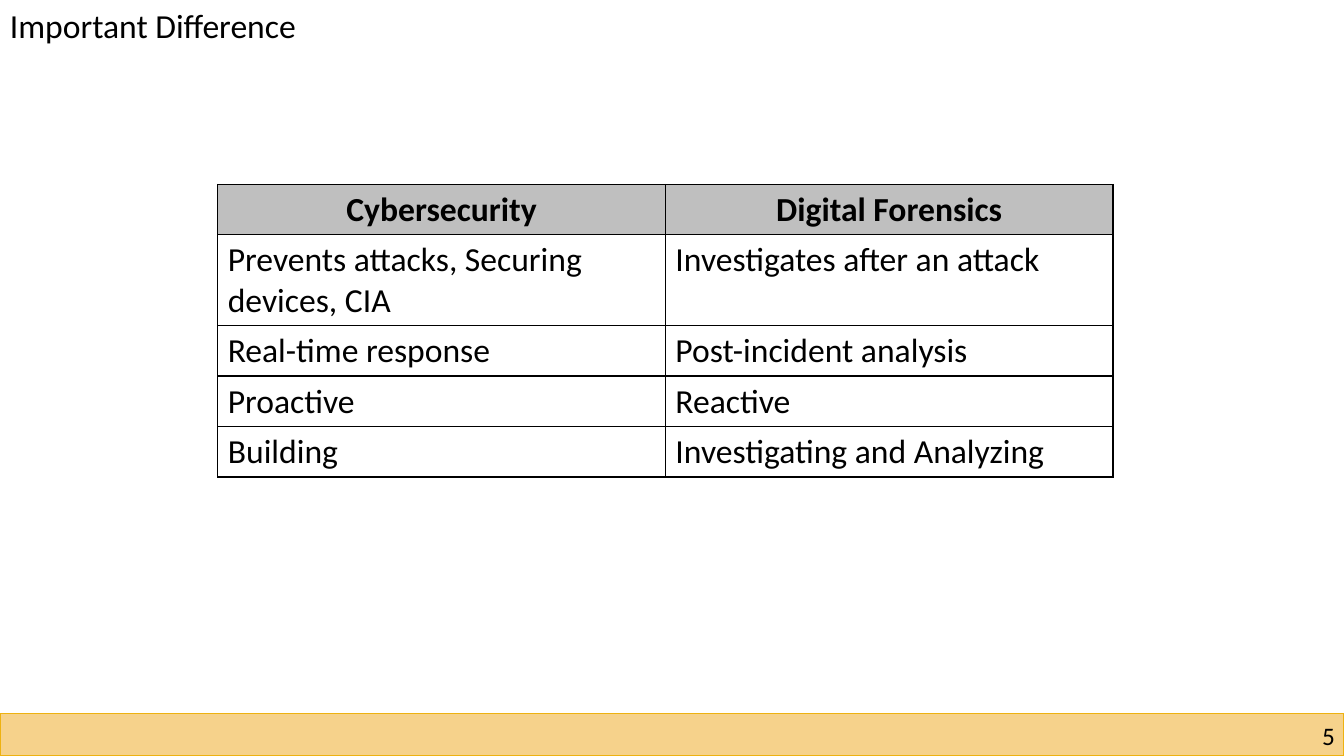
from pptx import Presentation
from pptx.util import Inches, Pt
from pptx.dml.color import RGBColor
from pptx.enum.shapes import MSO_SHAPE
from pptx.enum.text import PP_ALIGN, MSO_AUTO_SIZE
from pptx.oxml import parse_xml
from pptx.oxml.ns import nsdecls

TITLE = "Important Difference"
PAGE = "5"
ROWS = [
    ("Cybersecurity", "Digital Forensics"),
    ("Prevents attacks, Securing devices, CIA", "Investigates after an attack"),
    ("Real-time response", "Post-incident analysis"),
    ("Proactive", "Reactive"),
    ("Building", "Investigating and Analyzing"),
]
HEIGHTS = [0.5, 0.9, 0.5, 0.5, 0.5]
COLORS = {"ink": "000000", "head": "BFBFBF", "cell": "FFFFFF",
          "bar": "F6D28B", "edge": "EEB211"}
FONT = "Calibri"
WIDTH, HEIGHT = 13.33, 7.5
BAR_TOP = 7.08
COL = 4.44


def color(name):
    return RGBColor.from_string(COLORS[name])


def write(frame, text, size, align=PP_ALIGN.LEFT, bold=False):
    frame.text = text
    par = frame.paragraphs[0]
    par.alignment = align
    font = par.runs[0].font
    font.name, font.size, font.bold = FONT, Pt(size), bold
    font.color.rgb = color("ink")


def border(cell):
    props = cell._tc.get_or_add_tcPr()
    for spot, side in enumerate(("lnL", "lnR", "lnT", "lnB")):
        props.insert(spot, parse_xml(
            f'<a:{side} {nsdecls("a")} w="12700"><a:solidFill>'
            f'<a:srgbClr val="{COLORS["ink"]}"/></a:solidFill></a:{side}>'))


def add_bar(slide):
    bar = slide.shapes.add_shape(
        MSO_SHAPE.RECTANGLE, 0, Inches(BAR_TOP),
        Inches(WIDTH), Inches(HEIGHT - BAR_TOP))
    bar.shadow.inherit = False
    bar.fill.solid()
    bar.fill.fore_color.rgb = color("bar")
    bar.line.color.rgb = color("edge")
    bar.line.width = Pt(1)


def add_labels(slide):
    page = slide.shapes.add_textbox(
        Inches(10.17), Inches(7.15), Inches(3.07), Inches(0.3)).text_frame
    page.margin_left = page.margin_right = 0
    page.margin_top = page.margin_bottom = 0
    page.word_wrap = True
    write(page, PAGE, 18, PP_ALIGN.RIGHT)
    title = slide.shapes.add_textbox(0, 0, Inches(3.25), Inches(0.5)).text_frame
    title.word_wrap = False
    title.auto_size = MSO_AUTO_SIZE.SHAPE_TO_FIT_TEXT
    write(title, TITLE, 24)


def add_grid(slide):
    count = len(ROWS[0])
    table = slide.shapes.add_table(
        len(ROWS), count, Inches(2.16), Inches(1.83),
        Inches(COL * count), Inches(sum(HEIGHTS))).table
    for col in table.columns:
        col.width = Inches(COL)
    for r, (row, high) in enumerate(zip(ROWS, HEIGHTS)):
        table.rows[r].height = Inches(high)
        head = r == 0
        for c, text in enumerate(row):
            cell = table.cell(r, c)
            cell.fill.solid()
            cell.fill.fore_color.rgb = color("head" if head else "cell")
            align = PP_ALIGN.CENTER if head else PP_ALIGN.LEFT
            write(cell.text_frame, text, 24, align, head)
            border(cell)


def main():
    deck = Presentation()
    deck.slide_width, deck.slide_height = Inches(WIDTH), Inches(HEIGHT)
    slide = deck.slides.add_slide(deck.slide_layouts[6])
    add_bar(slide)
    add_labels(slide)
    add_grid(slide)
    deck.save("out.pptx")


if __name__ == "__main__":
    main()
